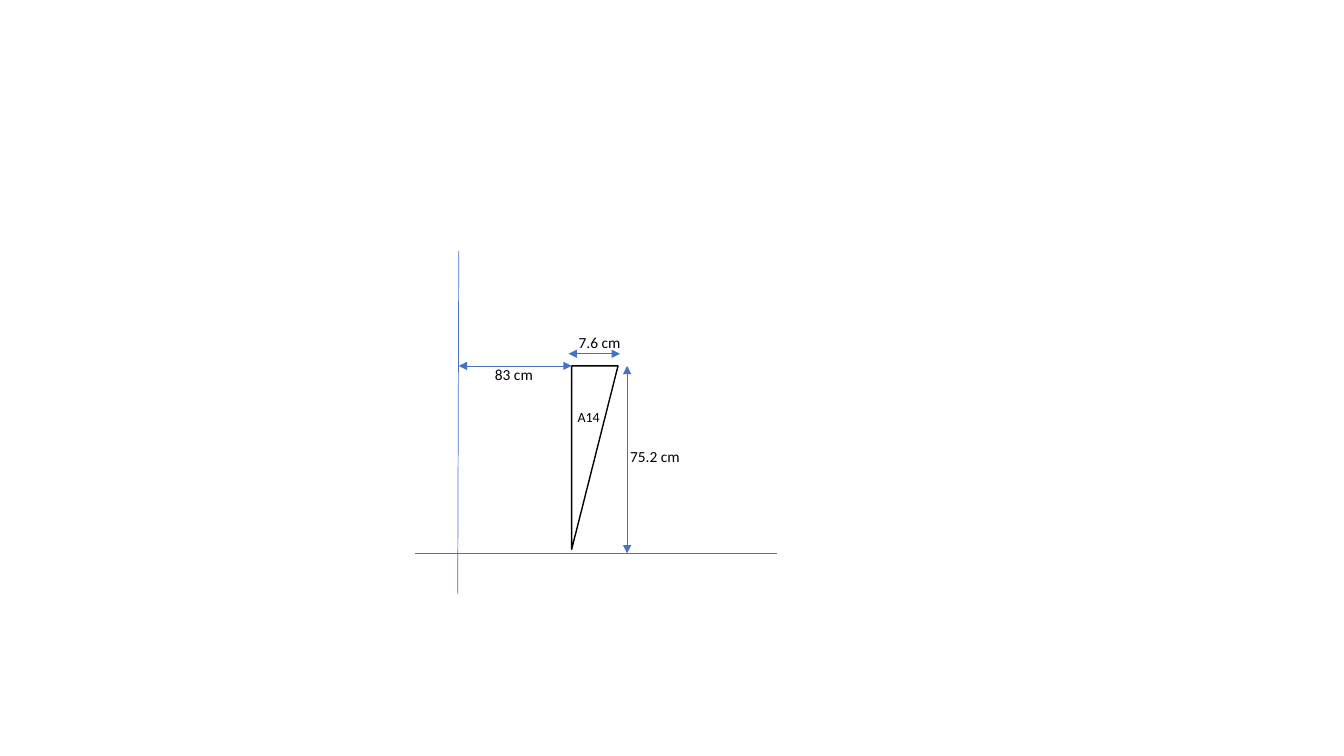
import pptx
import pptx.util
import pptx.dml.color
import pptx.enum.shapes
import pptx.enum.text
import pptx.oxml.ns
from lxml import etree

Inches = pptx.util.Inches
BLUE = pptx.dml.color.RGBColor(0x44, 0x72, 0xC4)
BLACK = pptx.dml.color.RGBColor(0, 0, 0)
WHITE = pptx.dml.color.RGBColor(0xFF, 0xFF, 0xFF)
FONT = "Calibri"

AXIS_X, AXIS_Y = 4.55, 5.49
TRIANGLE_LEFT, TRIANGLE_TOP = 5.67, 3.63


def write_text(paragraph, text, size=11, color=BLACK, font=FONT):
    run = paragraph.add_run()
    run.text = text
    run.font.size = pptx.util.Pt(size)
    run.font.name = font
    run.font.color.rgb = color


class Diagram:
    """Holds the line style and the slide being drawn."""

    def __init__(self, slide, line_color=BLUE, line_width=0.5):
        self.slide = slide
        self.line_color = line_color
        self.line_width = line_width

    def line(self, start, end, shapes=None, arrows=False):
        shapes = self.slide.shapes if shapes is None else shapes
        connector = shapes.add_connector(
            pptx.enum.shapes.MSO_CONNECTOR.STRAIGHT,
            *(Inches(value) for value in (*start, *end)))
        connector.line.color.rgb = self.line_color
        connector.line.width = pptx.util.Pt(self.line_width)
        if arrows:
            outline = connector.line._get_or_add_ln()
            for tag in ("a:headEnd", "a:tailEnd"):
                etree.SubElement(outline, pptx.oxml.ns.qn(tag), type="triangle")
        etree.SubElement(connector._element.spPr, pptx.oxml.ns.qn("a:effectLst"))

    def axes(self):
        group = self.slide.shapes.add_group_shape()
        self.line((AXIS_X, 2.49), (4.54, 5.89), group.shapes)
        self.line((4.12, AXIS_Y), (7.71, AXIS_Y), group.shapes)

    def triangle(self, left, top, width, height):
        """Draw a right triangle with its right angle at the top left."""
        shape = self.slide.shapes.add_shape(
            pptx.enum.shapes.MSO_SHAPE.RIGHT_TRIANGLE,
            *(Inches(value) for value in (left, top, width, height)))
        shape.shadow.inherit = False
        shape.rotation = 180
        shape._element.spPr.xfrm.set("flipH", "1")
        shape.fill.solid()
        shape.fill.fore_color.rgb = WHITE
        shape.line.color.rgb = BLACK
        shape.line.width = pptx.util.Pt(1)

    def label(self, text, left, top, width=0.85, height=0.29, **style):
        box = self.slide.shapes.add_textbox(
            *(Inches(value) for value in (left, top, width, height)))
        frame = box.text_frame
        frame.word_wrap = True
        frame.auto_size = pptx.enum.text.MSO_AUTO_SIZE.SHAPE_TO_FIT_TEXT
        write_text(frame.paragraphs[0], text, **style)


def main():
    presentation = pptx.Presentation()
    presentation.slide_width = Inches(13.33)
    presentation.slide_height = Inches(7.5)
    diagram = Diagram(presentation.slides.add_slide(presentation.slide_layouts[6]))

    diagram.axes()
    diagram.triangle(TRIANGLE_LEFT, TRIANGLE_TOP, 0.46, 1.82)

    dimensions = [
        ((AXIS_X, TRIANGLE_TOP), (TRIANGLE_LEFT, TRIANGLE_TOP)),
        ((5.64, 3.51), (6.15, 3.51)),
        ((6.22, TRIANGLE_TOP), (6.22, AXIS_Y)),
    ]
    for start, end in dimensions:
        diagram.line(start, end, arrows=True)

    diagram.label("83 cm", 4.81, 3.57)
    diagram.label("7.6 cm", 5.64, 3.26)
    diagram.label("75.2 cm", 6.15, 4.39)
    diagram.label("A14", 5.63, 4, width=0.49, height=0.27, size=10)

    presentation.save("out.pptx")


if __name__ == "__main__":
    main()
